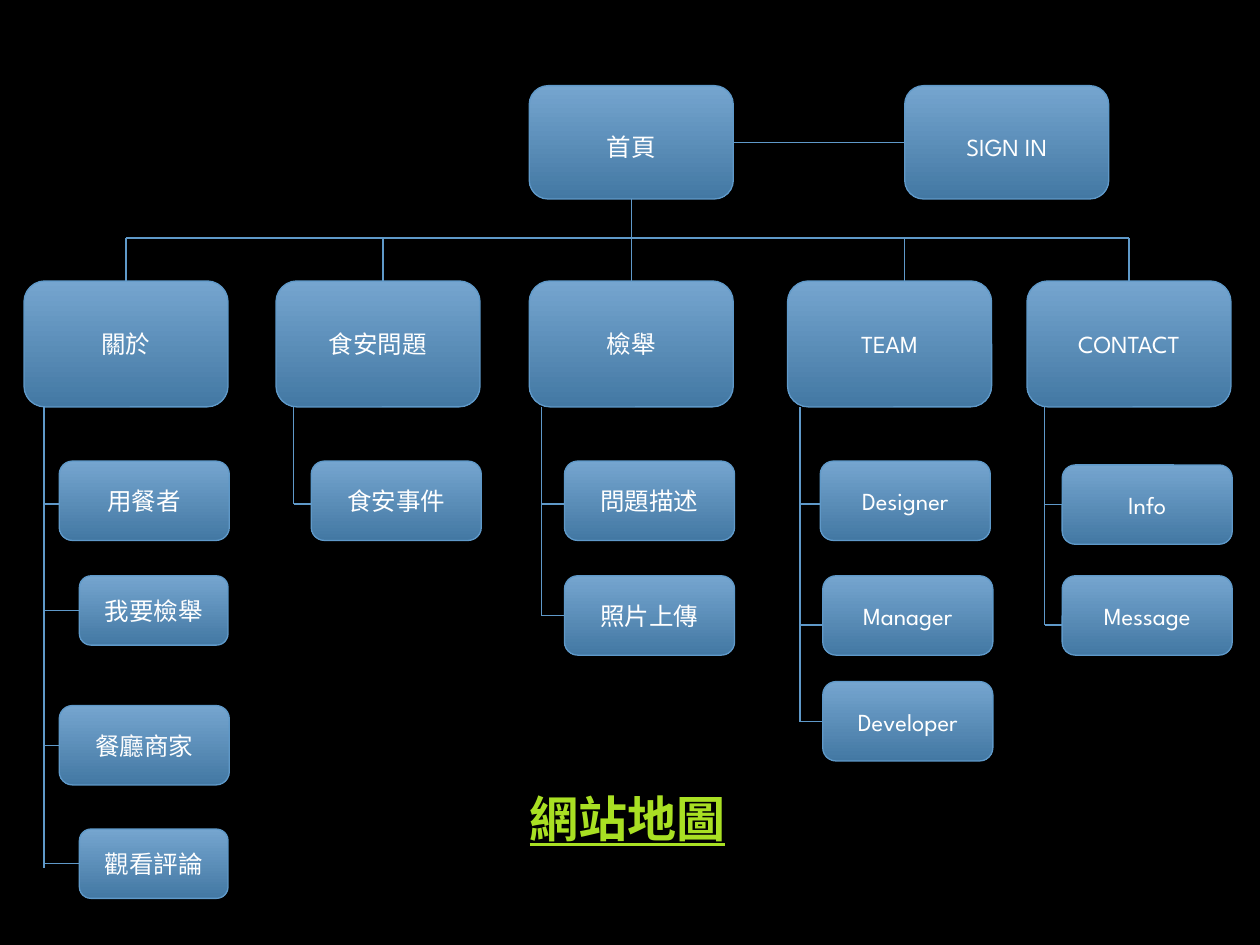
from pptx import Presentation
from pptx.dml.color import RGBColor
from pptx.enum.shapes import MSO_CONNECTOR, MSO_SHAPE
from pptx.enum.text import MSO_ANCHOR, PP_ALIGN
from pptx.oxml.ns import qn
from pptx.util import Inches, Pt
from lxml import etree

ROUNDED = MSO_SHAPE.ROUNDED_RECTANGLE
STRAIGHT = MSO_CONNECTOR.STRAIGHT
MIDDLE = MSO_ANCHOR.MIDDLE
CENTER = PP_ALIGN.CENTER
TOP, LEFT, BOTTOM, RIGHT = range(4)

SECTION_TOP, SECTION_SIZE = 2.23, (1.62, 1)
HOME_SIZE = (1.62, 0.9)
BUS_Y = 1.89
LARGE, SMALL = (1.35, 0.63), (1.18, 0.55)

# Section: name, left, x of the drop from the bus (None: box middle),
# x and bottom of the trunk, and its pages.
# Page: name, left, top, size, y of its branch (None: box middle).
SECTIONS = [
    ("關於", 0.19, None, 0.35, 6.89, [
        ("用餐者", 0.47, 3.66, LARGE, 4),
        ("我要檢舉", 0.63, 4.57, SMALL, None),
        ("餐廳商家", 0.47, 5.6, LARGE, None),
        ("觀看評論", 0.63, 6.58, SMALL, None)]),
    ("食安問題", 2.19, 3.04, 2.33, 4, [
        ("食安事件", 2.47, 3.66, LARGE, 4)]),
    ("檢舉", 4.2, None, 4.3, 4.89, [
        ("問題描述", 4.48, 3.66, LARGE, 4),
        ("照片上傳", 4.48, 4.57, LARGE, None)]),
    ("TEAM", 6.25, 7.18, 6.35, 5.73, [
        ("Designer", 6.51, 3.66, LARGE, 4),
        ("Manager", 6.53, 4.57, LARGE, 4.96),
        ("Developer", 6.53, 5.41, LARGE, None)]),
    ("CONTACT", 8.15, None, 8.29, 4.96, [
        ("Info", 8.43, 3.69, LARGE, None),
        ("Message", 8.43, 4.57, LARGE, 4.96)]),
]


def color(hex_text):
    return RGBColor.from_string(hex_text)


class SiteMap:
    font = "League Spartan"
    line_color = "5F99C9"
    gradient = ("75A5CF", "4378A3")

    def __init__(self, page):
        self.page = page
        page.background.fill.solid()
        page.background.fill.fore_color.rgb = color("000000")

    def label(self, shape, text, size, ink, spacing=None, strong=False):
        frame = shape.text_frame
        frame.word_wrap = True
        frame.vertical_anchor = MIDDLE
        para = frame.paragraphs[0]
        para.alignment = CENTER
        if spacing:
            para.line_spacing = spacing
        span = para.add_run()
        span.text = text
        span.font.name = self.font
        span.font.size = Pt(size)
        span.font.color.rgb = color(ink)
        if strong:
            span.font.bold = span.font.underline = True

    def box(self, text, left, top, size, spacing=None):
        box = self.page.shapes.add_shape(
            ROUNDED, *(Inches(v) for v in (left, top, *size)))
        box.shadow.inherit = False
        box.fill.gradient()
        box.fill.gradient_angle = 270
        for stop, shade in zip(box.fill.gradient_stops, self.gradient):
            stop.color.rgb = color(shade)
        box.line.color.rgb = color(self.line_color)
        box.line.width = Pt(0.75)
        self.label(box, text, 14, "FFFFFF", spacing)
        return box

    def line(self, start, end, begin=None, finish=None):
        """Draw a line; begin and finish are (box, side) pairs to join."""
        line = self.page.shapes.add_connector(
            STRAIGHT, *(Inches(v) for v in (*start, *end)))
        line.line.color.rgb = color(self.line_color)
        line.line.width = Pt(0.75)
        etree.SubElement(line._element.spPr, qn("a:effectLst"))
        if begin:
            line.begin_connect(*begin)
        if finish:
            line.end_connect(*finish)

    def title(self, text, left, top, width, height):
        box = self.page.shapes.add_textbox(
            *(Inches(v) for v in (left, top, width, height)))
        self.label(box, text, 28, "A9E023", strong=True)

    def branch(self, trunk_x, name, left, top, size, y):
        """Draw a page box and the short line from its section's trunk."""
        box = self.box(name, left, top, size)
        joined = (box, LEFT) if y is None else None
        if y is None:
            y = top + size[1] / 2
        self.line((trunk_x, y), (left, y), finish=joined)

    def section(self, name, left, drop_x, trunk_x, trunk_end, pages):
        """Draw a section with its drop, trunk and pages; return the drop's x."""
        box = self.box(name, left, SECTION_TOP, SECTION_SIZE)
        joined = (box, TOP) if drop_x is None else None
        if drop_x is None:
            drop_x = left + SECTION_SIZE[0] / 2
        self.line((drop_x, BUS_Y), (drop_x, SECTION_TOP), finish=joined)
        self.line((trunk_x, SECTION_TOP + SECTION_SIZE[1]), (trunk_x, trunk_end))
        for page in pages:
            self.branch(trunk_x, *page)
        return drop_x


def main():
    deck = Presentation()
    deck.slide_width, deck.slide_height = Inches(10), Inches(7.5)
    site = SiteMap(deck.slides.add_slide(deck.slide_layouts[6]))

    home = site.box("首頁", 4.2, 0.68, HOME_SIZE, spacing=1.3)
    sign_in = site.box("SIGN IN", 7.18, 0.68, HOME_SIZE, spacing=1.3)
    site.line((5.82, 1.13), (7.18, 1.13), (home, RIGHT), (sign_in, LEFT))
    site.line((5.01, 1.58), (5.01, BUS_Y), begin=(home, BOTTOM))

    drops = [site.section(*section) for section in SECTIONS]
    site.line((drops[0], BUS_Y), (drops[-1], BUS_Y))

    site.title("網站地圖", 4.09, 5.78, 1.78, 1.42)
    deck.save("out.pptx")


if __name__ == "__main__":
    main()
